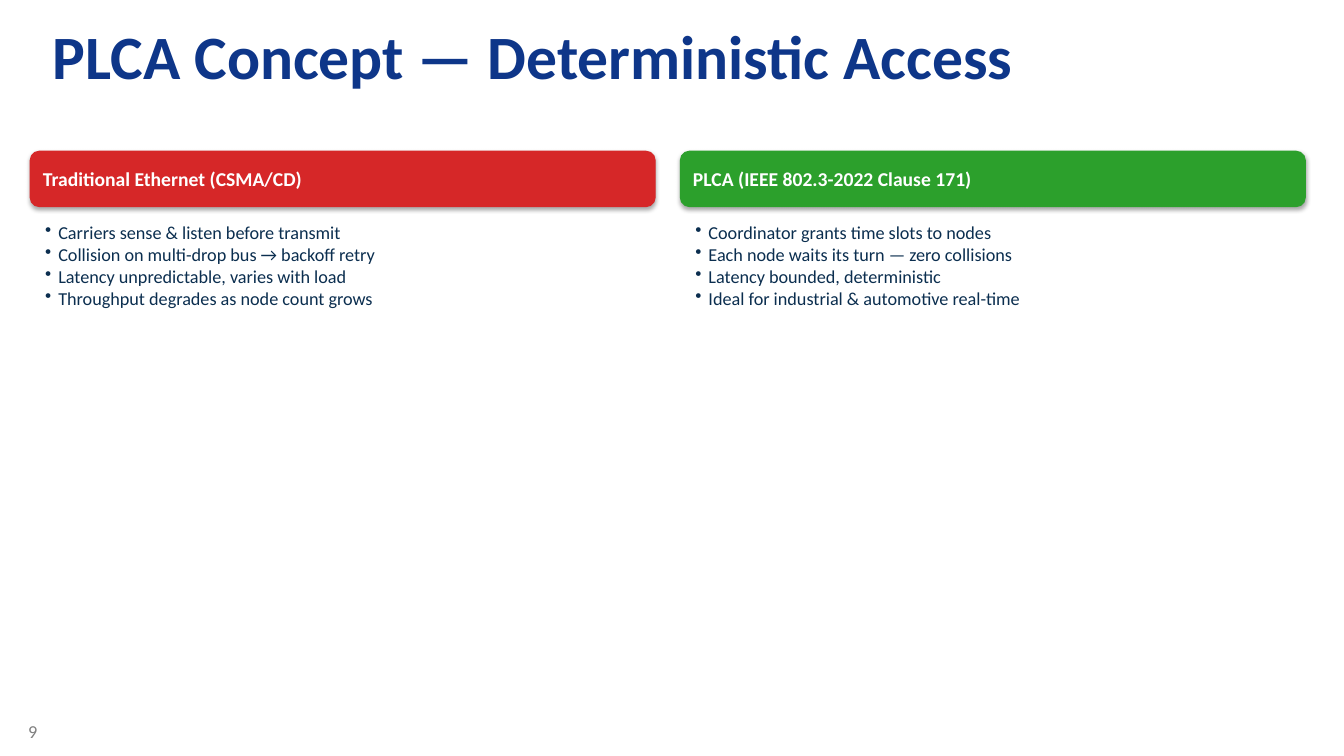
from dataclasses import dataclass

from lxml import etree
from pptx import Presentation
from pptx.dml.color import RGBColor
from pptx.enum.shapes import MSO_SHAPE as Shape
from pptx.enum.text import MSO_ANCHOR as Anchor, PP_ALIGN as Align
from pptx.oxml import parse_xml
from pptx.oxml.ns import nsdecls, qn
from pptx.util import Pt


@dataclass(frozen=True)
class Theme:
    font: str = "Calibri"
    title: str = "0E3689"
    body: str = "0B2E4F"
    number: str = "808080"
    on_fill: str = "FFFFFF"
    red: str = "D62728"
    green: str = "2CA02C"
    title_size: float = 44
    header_size: float = 14
    body_size: float = 13


THEME = Theme()
BULLET_INDENT = 9.4

COLUMNS = [
    ("Traditional Ethernet (CSMA/CD)", THEME.red, [
        "Carriers sense & listen before transmit",
        "Collision on multi-drop bus → backoff retry",
        "Latency unpredictable, varies with load",
        "Throughput degrades as node count grows",
    ]),
    ("PLCA (IEEE 802.3-2022 Clause 171)", THEME.green, [
        "Coordinator grants time slots to nodes",
        "Each node waits its turn — zero collisions",
        "Latency bounded, deterministic",
        "Ideal for industrial & automotive real-time",
    ]),
]


def add_bullet(p):
    pPr = p._p.get_or_add_pPr()
    pPr.set("marL", str(Pt(BULLET_INDENT)))
    pPr.set("indent", str(-Pt(BULLET_INDENT)))
    etree.SubElement(pPr, qn("a:buChar"), char="•")


def add_soft_shadow(sp):
    sp._element.spPr.append(parse_xml(
        f'<a:effectLst {nsdecls("a")}>'
        f'<a:outerShdw blurRad="{Pt(3.1)}" dist="{Pt(1.8)}" dir="5400000" rotWithShape="0">'
        '<a:srgbClr val="000000"><a:alpha val="35000"/></a:srgbClr>'
        '</a:outerShdw></a:effectLst>'))


def write(tf, lines, size, color, bold=False, bullets=False, anchor=Anchor.TOP):
    """Fill a text frame with one paragraph per line."""
    tf.word_wrap = True
    tf.vertical_anchor = anchor
    for i, line in enumerate(lines):
        p = tf.add_paragraph() if i else tf.paragraphs[0]
        p.alignment = Align.LEFT
        if bullets:
            add_bullet(p)
        r = p.add_run()
        r.text = line
        r.font.name = THEME.font
        r.font.size = Pt(size)
        r.font.bold = bold
        r.font.color.rgb = RGBColor.from_string(color)


def add_text(slide, box, lines, **fmt):
    tf = slide.shapes.add_textbox(*map(Pt, box)).text_frame
    write(tf, lines, **fmt)
    return tf


def add_title(slide, box, text):
    tf = add_text(slide, box, [text], size=THEME.title_size, color=THEME.title, bold=True)
    tf.margin_left = tf.margin_right = Pt(9.6)
    tf.margin_top = tf.margin_bottom = Pt(4.8)


def add_column(slide, box, heading, color, points):
    """Place a coloured heading bar with its bullet list below."""
    x, y, w, h = box
    bar_height, gap, inset = 39.6, 7.2, 3.6
    sp = slide.shapes.add_shape(Shape.ROUNDED_RECTANGLE, Pt(x), Pt(y), Pt(w), Pt(bar_height))
    sp.fill.solid()
    sp.fill.fore_color.rgb = RGBColor.from_string(color)
    sp.line.color.rgb = RGBColor.from_string(color)
    sp.line.width = Pt(0.75)
    add_soft_shadow(sp)
    write(sp.text_frame, [heading], size=THEME.header_size, color=THEME.on_fill,
          bold=True, anchor=Anchor.MIDDLE)

    top = bar_height + gap
    add_text(slide, (x + inset, y + top, w - 2 * inset, h - top), points,
             size=THEME.body_size, color=THEME.body, bullets=True)


def add_comparison(slide, box, columns):
    x, y, w, h = box
    gutter = 18
    width = (w - gutter * (len(columns) - 1)) / len(columns)
    for i, column in enumerate(columns):
        add_column(slide, (x + i * (width + gutter), y, width, h), *column)


def main():
    prs = Presentation()
    prs.slide_width, prs.slide_height = Pt(960), Pt(540)
    slide = prs.slides.add_slide(prs.slide_layouts[6])
    add_text(slide, (13, 511.2, 42.5, 28.8), ["9"], size=THEME.body_size, color=THEME.number)
    add_title(slide, (28, 8, 898, 126), "PLCA Concept — Deterministic Access")
    add_comparison(slide, (21.6, 108, 910.8, 313.2), COLUMNS)
    prs.save("out.pptx")


if __name__ == "__main__":
    main()
